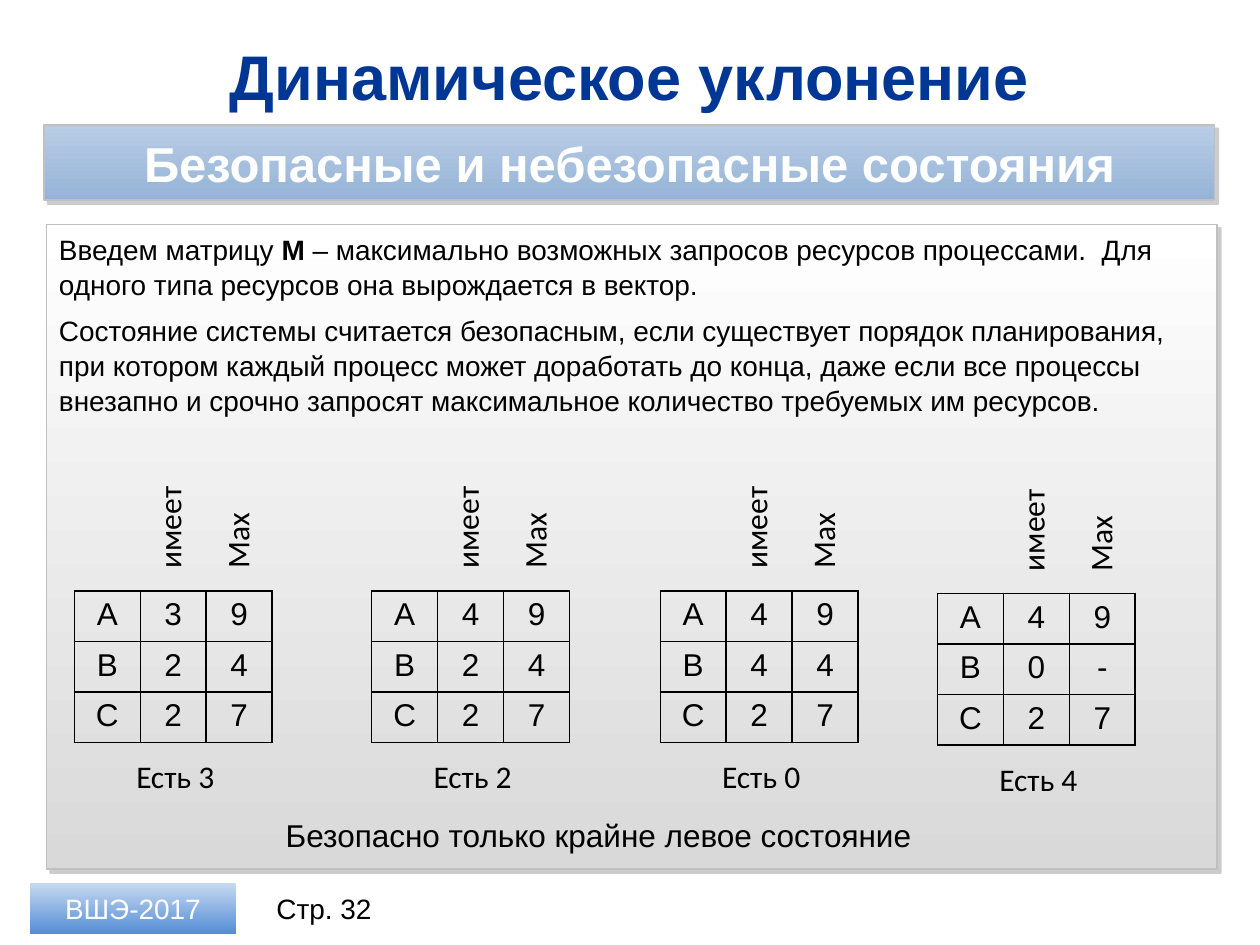
from typing import NamedTuple

from lxml import etree
from pptx import Presentation
from pptx.dml.color import RGBColor
from pptx.enum.shapes import MSO_SHAPE
from pptx.enum.text import MSO_ANCHOR, PP_ALIGN
from pptx.oxml.ns import qn
from pptx.util import Pt

RECT = MSO_SHAPE.RECTANGLE
LEFT, CENTER = PP_ALIGN.LEFT, PP_ALIGN.CENTER
TOP, MIDDLE = MSO_ANCHOR.TOP, MSO_ANCHOR.MIDDLE

COLORS = {
    "title": "003794",
    "text": "000000",
    "white": "FFFFFF",
    "border": "C0C0C0",
    "shadow": "808080",
    "panel_bottom": "D9D9D9",
    "banner_top": "B9CDE5",
    "banner_bottom": "95B3D7",
    "badge_top": "C6D9F1",
    "badge_bottom": "558ED5",
}
CELL_W, CELL_H = 37.7, 28.8
HEADERS = (("имеет", 20.2), ("Max", 59))


class Box(NamedTuple):
    x: float
    y: float
    w: float
    h: float


class State(NamedTuple):
    x: float
    y: float
    rows: tuple[str, ...]
    free: str


STATES = (
    State(42.5, 337.7, ("A39", "B24", "C27"), "Есть 3"),
    State(212.4, 337.7, ("A49", "B24", "C27"), "Есть 2"),
    State(377.3, 337.7, ("A49", "B44", "C27"), "Есть 0"),
    State(535.7, 339.1, ("A49", "B0-", "C27"), "Есть 4"),
)
BODY = (
    (
        ("Введем матрицу ", False),
        ("М", True),
        (" – максимально возможных запросов ресурсов процессами.  Для одного типа "
         "ресурсов она вырождается в вектор.", False),
    ),
    (
        ("Состояние системы считается безопасным, если существует порядок планирования, "
         "при котором каждый процесс может доработать до конца, даже если все процессы "
         "внезапно и срочно запросят максимальное количество требуемых им ресурсов.", False),
    ),
)


def rgb(name: str) -> RGBColor:
    return RGBColor.from_string(COLORS[name])


def pts(box: Box) -> list[Pt]:
    return [Pt(v) for v in box]


def write(tf, text, *, size=18, font="Arial", color="text", bold=False,
          align=LEFT, anchor=TOP, space=0, spacing=None) -> None:
    paragraphs = (((text, bold),),) if isinstance(text, str) else text
    tf.word_wrap = True
    tf.vertical_anchor = anchor
    for i, runs in enumerate(paragraphs):
        p = tf.add_paragraph() if i else tf.paragraphs[0]
        p.alignment = align
        if i:
            p.space_before = Pt(space)
        if spacing:
            p.line_spacing = spacing
        for part, strong in runs:
            r = p.add_run()
            r.text = part
            r.font.size = Pt(size)
            r.font.name = font
            r.font.bold = strong
            r.font.color.rgb = rgb(color)


def add_text(s, box: Box, text, *, rotation: float = 0, **fmt) -> None:
    sp = s.shapes.add_textbox(*pts(box))
    sp.rotation = rotation
    write(sp.text_frame, text, **fmt)


def add_panel(s, box: Box, top: str, bottom: str, *, framed: bool = True):
    sp = s.shapes.add_shape(RECT, *pts(box))
    sp.shadow.inherit = False
    sp.fill.gradient()
    sp.fill.gradient_angle = 270
    for stop, name in zip(sp.fill.gradient_stops, (top, bottom)):
        stop.color.rgb = rgb(name)
    if not framed:
        sp.line.fill.background()
        return sp
    sp.line.color.rgb = rgb("border")
    sp.line.width = Pt(1)
    effects = sp._element.spPr.find(qn("a:effectLst"))
    shadow = etree.SubElement(effects, qn("a:outerShdw"), blurRad="0",
                              dist=str(Pt(3)), dir="2700000", algn="tl", rotWithShape="0")
    clr = etree.SubElement(shadow, qn("a:srgbClr"), val=COLORS["shadow"])
    etree.SubElement(clr, qn("a:alpha"), val="40000")
    return sp


def add_borders(cell) -> None:
    tc_pr = cell._tc.get_or_add_tcPr()
    for side in ("lnL", "lnR", "lnT", "lnB"):
        ln = etree.SubElement(tc_pr, qn(f"a:{side}"), w=str(Pt(1)))
        fill = etree.SubElement(ln, qn("a:solidFill"))
        etree.SubElement(fill, qn("a:srgbClr"), val=COLORS["text"])


def add_state(s, state: State) -> None:
    n_rows, n_cols = len(state.rows), len(state.rows[0])
    box = Box(state.x, state.y, n_cols * CELL_W, n_rows * CELL_H)
    table = s.shapes.add_table(n_rows, n_cols, *pts(box)).table
    table.first_row = table.horz_banding = False
    for col in table.columns:
        col.width = Pt(CELL_W)
    for i, values in enumerate(state.rows):
        table.rows[i].height = Pt(CELL_H)
        for j, value in enumerate(values):
            cell = table.cell(i, j)
            add_borders(cell)
            cell.fill.background()
            write(cell.text_frame, value, align=CENTER)
    for header, dx in HEADERS:
        add_text(s, Box(state.x + dx, state.y - 54, 67.7, 28.8), header,
                 rotation=270, font="Calibri")
    add_text(s, Box(state.x + 28.3, state.y + 91.4, 73.4, 28.8), state.free, font="Calibri")


def main() -> None:
    prs = Presentation()
    prs.slide_width, prs.slide_height = Pt(720), Pt(540)
    s = prs.slides.add_slide(prs.slide_layouts[6])

    add_text(s, Box(25.2, 18.7, 668.9, 49), "Динамическое уклонение",
             size=36, color="title", bold=True, align=CENTER, anchor=MIDDLE)
    add_text(s, Box(146.2, 504.7, 77.8, 28.8), "Стр. 32",
             size=16, align=CENTER, anchor=MIDDLE)
    badge = add_panel(s, Box(17.3, 504.7, 117.4, 28.8), "badge_top", "badge_bottom", framed=False)
    write(badge.text_frame, "ВШЭ-2017", size=16, color="white", align=CENTER, anchor=MIDDLE)
    add_panel(s, Box(26.6, 128.2, 668.9, 368.6), "white", "panel_bottom")
    banner = add_panel(s, Box(25.2, 71.3, 668.9, 43.2), "banner_top", "banner_bottom")
    write(banner.text_frame, "Безопасные и небезопасные состояния",
          size=28, color="white", bold=True, align=CENTER, anchor=MIDDLE)

    add_text(s, Box(156.2, 463, 380.2, 28.8), "Безопасно только крайне левое состояние")
    for state in STATES:
        add_state(s, state)
    add_text(s, Box(26.6, 128.2, 668.2, 110.2), BODY, size=16, space=6, spacing=1.05)
    prs.save("out.pptx")


if __name__ == "__main__":
    main()
